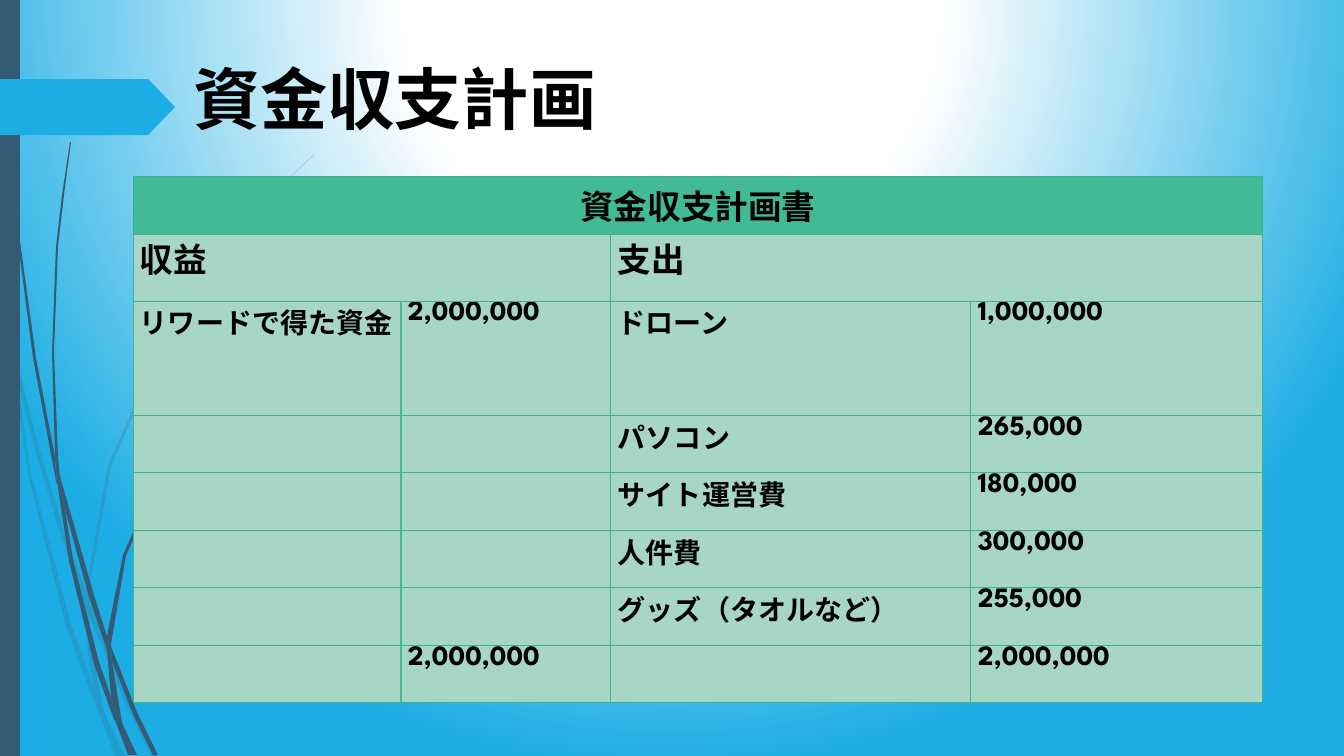
from lxml.etree import SubElement
from pptx import Presentation
from pptx.dml.color import RGBColor
from pptx.enum.shapes import MSO_SHAPE
from pptx.enum.text import MSO_ANCHOR, PP_ALIGN
from pptx.oxml import parse_xml
from pptx.oxml.ns import nsdecls, qn
from pptx.util import Pt

SCALE = 914400 / 100.8
COLORS = {"ink": "000000", "white": "FFFFFF", "sky": "1CADE4", "slate": "335B74",
          "header": "42BA97", "body": "A7D6C4", "grid": "3FB290"}
JP_FONT, TABLE_FONT = "Noto Sans CJK JP", "League Spartan"


def px(n):
    return round(n * SCALE)


class Deck:
    def __init__(self, width, height):
        self.prs = Presentation()
        self.prs.slide_width, self.prs.slide_height = px(width), px(height)
        self.s = self.prs.slides.add_slide(self.prs.slide_layouts[5])

    def background(self, stops):
        gs = "".join(f'<a:gs pos="{pos * 1000}"><a:srgbClr val="{COLORS[c]}"/></a:gs>'
                     for pos, c in stops)
        self.s.element.cSld.insert(0, parse_xml(
            f'<p:bg {nsdecls("p", "a")}><p:bgPr><a:gradFill rotWithShape="1">'
            f'<a:gsLst>{gs}</a:gsLst><a:path path="circle">'
            '<a:fillToRect l="50000" t="-80000" r="50000" b="180000"/></a:path>'
            '</a:gradFill><a:effectLst/></p:bgPr></p:bg>'))

    def paint(self, sp, color, alpha=100):
        sp.shadow.inherit = False
        sp.fill.solid()
        sp.fill.fore_color.rgb = RGBColor.from_string(COLORS[color])
        sp.line.fill.background()
        if alpha < 100:
            clr = next(sp.element.spPr.iter(qn("a:srgbClr")))
            SubElement(clr, qn("a:alpha"), val=str(alpha * 1000))

    def shape(self, kind, x, y, w, h, color):
        sp = self.s.shapes.add_shape(kind, px(x), px(y), px(w), px(h))
        self.paint(sp, color)
        return sp

    def blade(self, points, alpha):
        fb = self.s.shapes.build_freeform(*points[0], scale=SCALE)
        fb.add_line_segments(points[1:], close=True)
        self.paint(fb.convert_to_shape(), "slate", alpha)

    def run(self, p, text, size, font):
        r = p.add_run()
        r.text = text
        r.font.size, r.font.bold, r.font.name = Pt(size), True, font
        r.font.color.rgb = RGBColor.from_string(COLORS["ink"])
        SubElement(r.font._element, qn("a:ea"), typeface=JP_FONT)

    def title(self, text, x, y, w, h):
        sp = self.s.shapes.title
        sp.left, sp.top, sp.width, sp.height = px(x), px(y), px(w), px(h)
        tf = sp.text_frame
        tf.word_wrap = True
        tf.vertical_anchor = MSO_ANCHOR.MIDDLE
        p = tf.paragraphs[0]
        p.alignment = PP_ALIGN.LEFT
        self.run(p, text, 48, JP_FONT)
        shapes = self.s.shapes._spTree
        shapes.remove(sp.element)
        shapes.append(sp.element)

    def borders(self, cell, sides):
        tcPr = cell._tc.get_or_add_tcPr()
        for i, (side, color, width) in enumerate(sides):
            tcPr.insert(i, parse_xml(
                f'<a:ln{side} {nsdecls("a")} w="{Pt(width)}"><a:solidFill>'
                f'<a:srgbClr val="{COLORS[color]}"/></a:solidFill></a:ln{side}>'))

    def table(self, x, y, cols, rows, values, merges):
        tbl = self.s.shapes.add_table(len(rows), len(cols), px(x), px(y),
                                      px(sum(cols)), px(sum(rows))).table
        tbl.first_row = tbl.horz_banding = False
        for column, w in zip(tbl.columns, cols):
            column.width = px(w)
        for row, h in zip(tbl.rows, rows):
            row.height = px(h)
        for i, line in enumerate(values):
            for j, text in enumerate(line):
                self.cell(tbl.cell(i, j), text, i, j)
        for row, first, last in merges:
            tbl.cell(row, first).merge(tbl.cell(row, last))

    def cell(self, cell, text, i, j):
        cell.margin_left = cell.margin_right = px(7)
        cell.margin_top = cell.margin_bottom = 0
        cell.vertical_anchor = MSO_ANCHOR.TOP if i else MSO_ANCHOR.MIDDLE
        cell.fill.solid()
        cell.fill.fore_color.rgb = RGBColor.from_string(COLORS["body" if i else "header"])
        thick, thin = ("header", 1.25), ("grid", 0.75)
        inner = i > 1
        self.borders(cell, [("L", *(thick if inner and j == 1 else thin)),
                            ("R", *(thick if inner and j == 0 else thin)),
                            ("T", *thin), ("B", *thin)])
        if text:
            p = cell.text_frame.paragraphs[0]
            p.alignment = PP_ALIGN.JUSTIFY if i else PP_ALIGN.CENTER
            self.run(p, text, 20 if inner else 24, TABLE_FONT)


FAINT_BLADES = [
    [(11, 353), (9, 325), (0, 284), (0, 301), (10, 347)],
    [(58, 526), (85, 604), (86, 591), (62, 524), (36, 437), (14, 348), (17, 379), (36, 453)],
    [(93, 612), (89, 601), (89, 615), (124, 700), (151, 756), (156, 756), (128, 698)],
    [(120, 756), (125, 756), (106, 717)],
    [(94, 688), (71, 624), (31, 473), (17, 379), (11, 353), (28, 474), (66, 626),
     (93, 699), (102, 720), (100, 713)],
    [(85, 604), (88, 651), (94, 688), (97, 698), (106, 717), (104, 712), (92, 651),
     (89, 615), (89, 613)],
    [(89, 589), (111, 466), (161, 352), (231, 247), (270, 200), (292, 176), (314, 155),
     (314, 154), (291, 176), (270, 199), (230, 246), (159, 351), (108, 465), (86, 589),
     (86, 591), (89, 601)],
    [(102, 720), (115, 756), (120, 756)],
    [(89, 613), (89, 615), (89, 601), (86, 591), (85, 604)],
    [(97, 698), (94, 688), (100, 713), (102, 720), (120, 756), (106, 717)],
]
DARK_BLADES = [
    [(7, 111), (17, 235), (33, 358), (56, 481), (57, 485), (55, 461), (55, 457),
     (36, 358), (19, 234), (8, 110), (5, 48), (4, 0), (3, 0), (4, 48)],
    [(89, 597), (107, 650), (107, 638), (107, 636), (94, 595), (60, 476), (65, 509)],
    [(114, 654), (111, 646), (112, 661), (133, 714), (153, 755), (158, 755), (137, 712)],
    [(111, 697), (99, 662), (73, 560), (65, 509), (57, 481), (69, 561), (94, 664),
     (112, 714), (118, 728), (117, 723)],
    [(60, 476), (58, 457), (54, 352), (58, 247), (64, 195), (71, 142), (70, 142),
     (62, 195), (56, 247), (52, 352), (55, 453)],
    [(134, 755), (137, 755), (123, 725)],
    [(57, 481), (65, 509), (60, 476), (55, 453), (55, 457)],
    [(112, 638), (126, 556), (159, 480), (207, 409), (233, 377), (247, 362), (263, 347),
     (262, 347), (247, 361), (233, 376), (206, 408), (157, 478), (123, 555), (107, 636),
     (111, 646)],
    [(118, 728), (128, 755), (132, 755)],
    [(107, 650), (111, 697), (117, 712), (123, 725), (122, 722), (112, 661), (110, 656)],
    [(107, 650), (110, 656), (112, 661), (111, 646), (107, 636), (107, 638)],
    [(117, 712), (111, 697), (117, 723), (118, 728), (131, 755), (134, 755), (123, 725)],
]
BUDGET = [
    ["資金収支計画書", "", "", ""],
    ["収益", "", "支出", ""],
    ["リワードで得た資金", "2,000,000", "ドローン", "1,000,000"],
    ["", "", "パソコン", "265,000"],
    ["", "", "サイト運営費", "180,000"],
    ["", "", "人件費", "300,000"],
    ["", "", "グッズ（タオルなど）", "255,000"],
    ["", "2,000,000", "", "2,000,000"],
]

deck = Deck(1344, 756)
deck.background([(0, "white"), (35, "white"), (100, "sky")])
for blades, alpha in ((FAINT_BLADES, 20), (DARK_BLADES, 100)):
    for points in blades:
        deck.blade(points, alpha)
deck.shape(MSO_SHAPE.RECTANGLE, 0, 0, 20, 756, "slate")
arrow = deck.shape(MSO_SHAPE.PENTAGON, 0, 79, 175, 56, "sky")
arrow.adjustments[0] = 0.48
deck.title("資金収支計画", 183, 52, 746, 92)
deck.table(133, 176, [268, 210, 360, 292], [58, 67, 115, 57, 58, 57, 58, 57],
           BUDGET, [(0, 0, 3), (1, 0, 1), (1, 2, 3)])
deck.prs.save("out.pptx")
